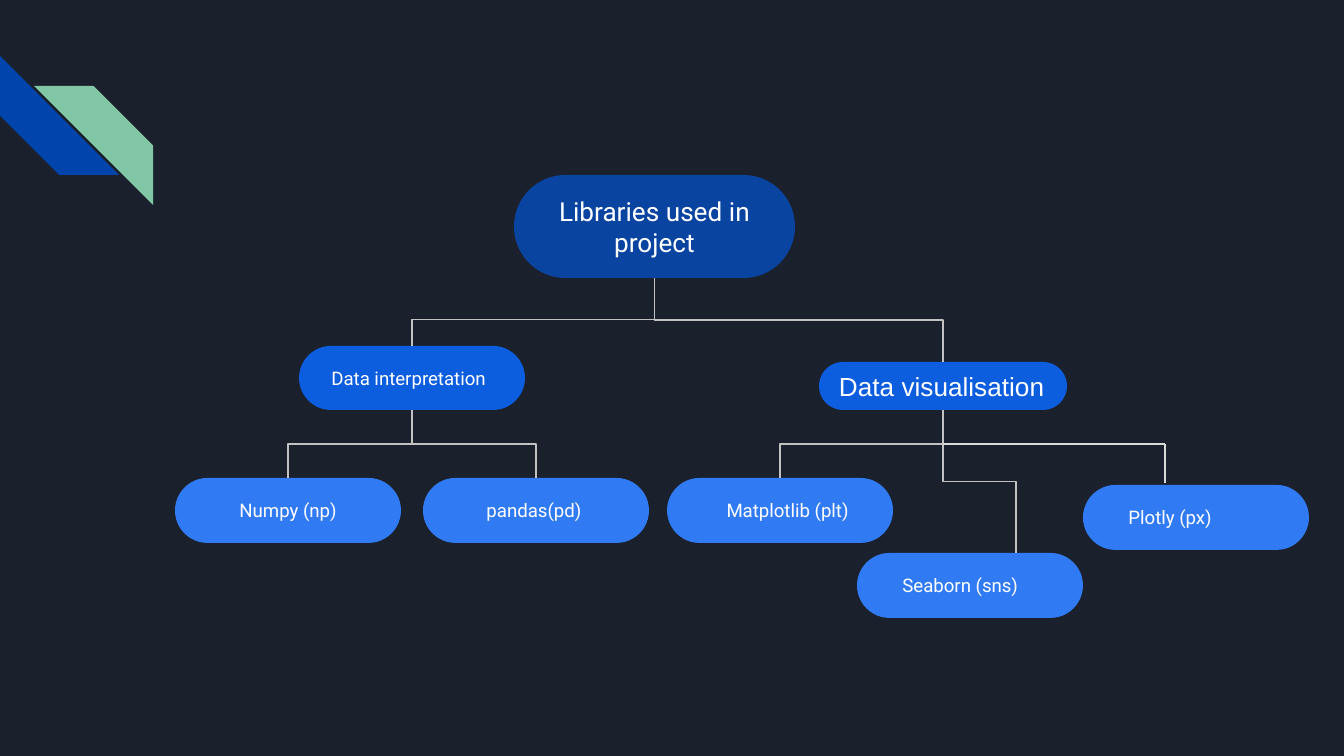
from lxml import etree
from pptx import Presentation
from pptx.dml.color import RGBColor
from pptx.enum.shapes import MSO_CONNECTOR, MSO_SHAPE
from pptx.enum.text import MSO_ANCHOR, PP_ALIGN
from pptx.oxml.ns import qn
from pptx.util import Pt

ROUNDED, STRIPE = MSO_SHAPE.ROUNDED_RECTANGLE, MSO_SHAPE.DIAGONAL_STRIPE
ELBOW, STRAIGHT = MSO_CONNECTOR.ELBOW, MSO_CONNECTOR.STRAIGHT
MIDDLE = MSO_ANCHOR.MIDDLE
LEFT, CENTER = PP_ALIGN.LEFT, PP_ALIGN.CENTER
TOP_SITE, BOTTOM_SITE = 0, 2
NAVY, ROYAL, SKY = "0944A1", "0D5DDF", "307BF3"
BRANCH_GREY, PALE_GREY = "C2C2C2", "D9D9D9"


def px(length):
    return round(length * 914400 / 134.4)


def color(hex_string):
    return RGBColor.from_string(hex_string)


class TreeSlide:
    """Draws the nodes and branches of a tree diagram on one slide."""

    inset = 13
    text_color = "FFFFFF"

    def __init__(self, slide, background):
        self.shapes = slide.shapes
        slide.background.fill.solid()
        slide.background.fill.fore_color.rgb = color(background)

    def block(self, kind, left, top, width, height, fill):
        shape = self.shapes.add_shape(kind, px(left), px(top), px(width), px(height))
        shape.shadow.inherit = False
        shape.fill.solid()
        shape.fill.fore_color.rgb = color(fill)
        shape.line.fill.background()
        return shape

    def stripe(self, left, top, size, fill, rotation):
        self.block(STRIPE, left, top, size, size, fill).rotation = rotation

    def node(self, text, left, top, width=226, height=65, fill=SKY,
             size=10, font="Roboto", align=LEFT, indent=0):
        shape = self.block(ROUNDED, left, top, width, height, fill)
        shape.adjustments[0] = 0.5
        frame = shape.text_frame
        frame.word_wrap = True
        frame.vertical_anchor = MIDDLE
        frame.margin_left = px(self.inset + indent)
        frame.margin_right = frame.margin_top = frame.margin_bottom = px(self.inset)
        paragraph = frame.paragraphs[0]
        paragraph.text = text
        paragraph.alignment = align
        paragraph.font.size = Pt(size)
        paragraph.font.name = font
        paragraph.font.color.rgb = color(self.text_color)
        return shape

    def connector(self, kind, start, end, line_color):
        link = self.shapes.add_connector(kind, *start, *end)
        link.line.color.rgb = color(line_color)
        link.line.width = Pt(0.75)
        etree.SubElement(link._element.spPr, qn("a:effectLst"))
        return link

    def line(self, start, end):
        self.connector(STRAIGHT, [px(v) for v in start], [px(v) for v in end], PALE_GREY)

    def branch(self, parent, child, bend=0.5, shift=0):
        start_x, start_y = parent.left + parent.width // 2, parent.top + parent.height
        end_x, end_y = child.left + child.width // 2 + px(shift), child.top
        link = self.connector(ELBOW, (start_x, start_y), (end_x, end_y), BRANCH_GREY)
        link.begin_connect(parent, BOTTOM_SITE)
        if not shift:
            link.end_connect(child, TOP_SITE)
        drop, spread = end_y - start_y, abs(end_x - start_x)
        link.left = (start_x + end_x - drop) // 2
        link.top = (start_y + end_y - spread) // 2
        link.width, link.height = drop, spread
        rightward = end_x > start_x
        xfrm = link._element.spPr.find(qn("a:xfrm"))
        xfrm.set("rot", "16200000" if rightward else "5400000")
        xfrm.set("flipH", "1" if rightward else "0")
        guides = link._element.spPr.find(qn("a:prstGeom")).find(qn("a:avLst"))
        etree.SubElement(guides, qn("a:gd"), name="adj1", fmla=f"val {round(bend * 100000)}")


def main():
    deck = Presentation()
    deck.slide_width, deck.slide_height = px(1344), px(756)
    tree = TreeSlide(deck.slides.add_slide(deck.slide_layouts[6]), "1B212C")

    tree.stripe(0, 56, 119, "0145AC", 270)
    tree.stripe(34, 86, 119, "82C7A5", 90)

    libraries = tree.node("Libraries used in project", 514, 175, 281, 103, NAVY,
                          size=14, align=CENTER)
    visualisation = tree.node("Data visualisation", 819, 362, 248, 48, ROYAL,
                              size=14, font="Arial")
    interpretation = tree.node("Data interpretation", 299, 346, height=64, fill=ROYAL,
                               indent=10)
    numpy = tree.node("Numpy (np)", 175, 478, align=CENTER)
    pandas = tree.node("pandas(pd)", 423, 478, indent=41)
    matplotlib = tree.node("Matplotlib (plt)", 667, 478, indent=37)
    seaborn = tree.node("Seaborn (sns)", 857, 553, indent=23)
    tree.node("Plotly (px)", 1083, 485, indent=23)

    tree.branch(libraries, visualisation)
    tree.branch(libraries, interpretation, bend=0.61)
    tree.branch(interpretation, pandas)
    tree.branch(interpretation, numpy)
    tree.branch(visualisation, seaborn, shift=46)
    tree.branch(visualisation, matplotlib)
    tree.line((943, 444), (1165, 444))
    tree.line((1165, 444), (1165, 483))

    deck.save("out.pptx")


if __name__ == "__main__":
    main()
